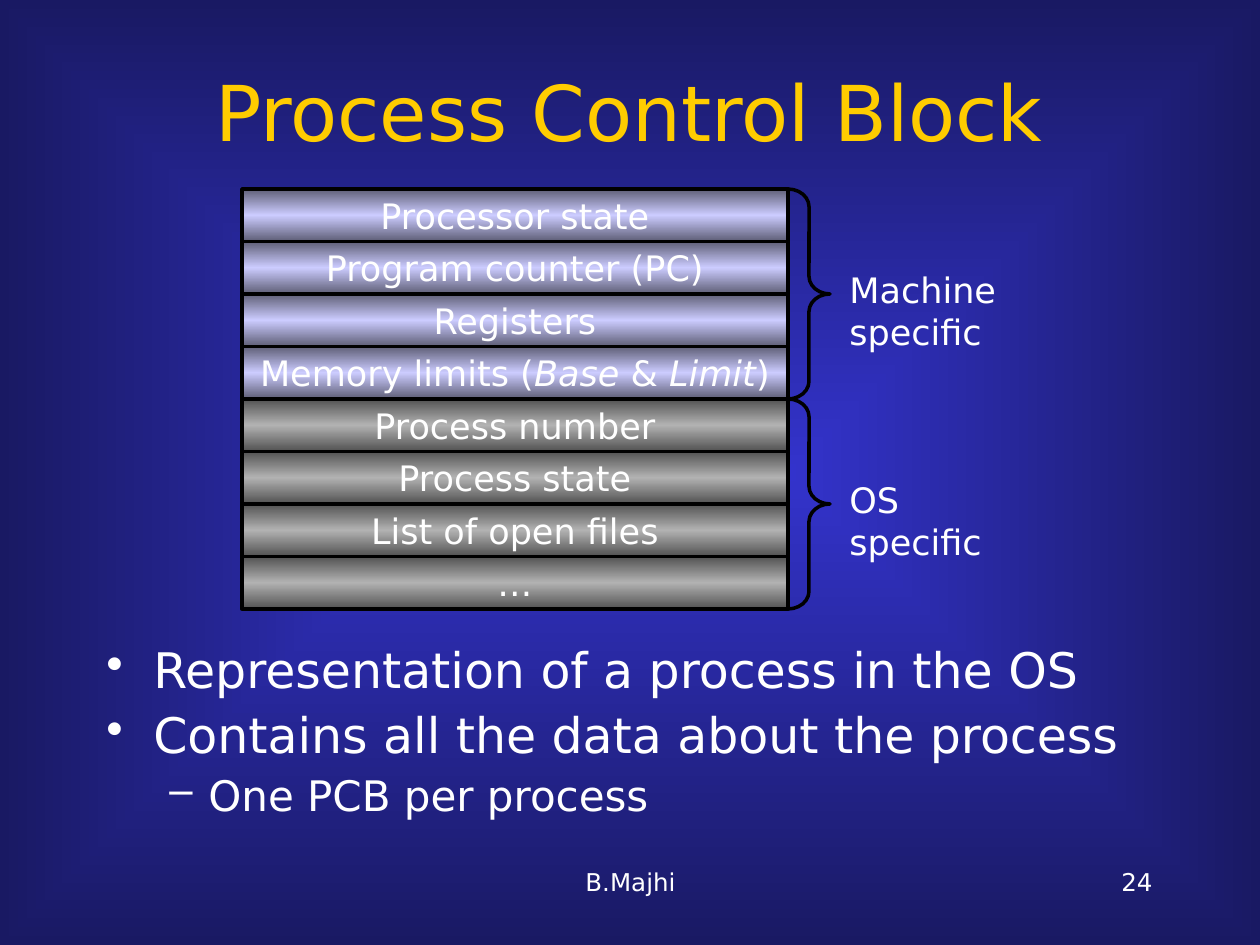
from lxml import etree
from pptx import Presentation
from pptx.dml.color import RGBColor
from pptx.enum.shapes import MSO_SHAPE
from pptx.enum.text import MSO_ANCHOR, PP_ALIGN
from pptx.oxml.ns import qn
from pptx.util import Pt

PX = 914400 // 126
FONT = "DejaVu Sans"
LEFT, CENTER, RIGHT = PP_ALIGN.LEFT, PP_ALIGN.CENTER, PP_ALIGN.RIGHT
TOP, MIDDLE = MSO_ANCHOR.TOP, MSO_ANCHOR.MIDDLE
RECTANGLE, RIGHT_BRACE = MSO_SHAPE.RECTANGLE, MSO_SHAPE.RIGHT_BRACE
COLORS = {
    "center": "3333CC", "edge": "191963", "title": "FFCC00",
    "text": "FFFFFF", "line": "000000",
    "machine_dark": "5E5E76", "machine_light": "CCCCFF",
    "os_dark": "525252", "os_light": "B2B2B2",
}


def write_text(shape, text, size=20, color="text", align=LEFT, anchor=TOP,
               wrap=True, bullet=None, indent=(0, 0), before=0, spacing=None):
    """Add one paragraph to a shape; parts between asterisks are italic."""
    frame = shape.text_frame
    frame.word_wrap = wrap
    frame.vertical_anchor = anchor
    paragraph = frame.add_paragraph() if frame.text else frame.paragraphs[0]
    paragraph.alignment = align
    paragraph.line_spacing = spacing
    paragraph.space_before = Pt(before)
    for index, part in enumerate(text.split("*")):
        run = paragraph.add_run()
        run.text = part
        run.font.name = FONT
        run.font.size = Pt(size)
        run.font.italic = index % 2 == 1
        run.font.color.rgb = RGBColor.from_string(COLORS[color])
    if bullet:
        properties = paragraph._p.get_or_add_pPr()
        margin, hanging = indent
        properties.set("marL", str(margin * PX))
        properties.set("indent", str(-hanging * PX))
        etree.SubElement(properties, qn("a:buChar"), char=bullet)


def fill_gradient(owner, names, radial=False):
    """Replace the solid fill of an element with evenly spaced colours."""
    gradient = etree.Element(qn("a:gradFill"), rotWithShape="1")
    stops = etree.SubElement(gradient, qn("a:gsLst"))
    for index, name in enumerate(names):
        position = str(100000 * index // (len(names) - 1))
        stop = etree.SubElement(stops, qn("a:gs"), pos=position)
        etree.SubElement(stop, qn("a:srgbClr"), val=COLORS[name])
    if radial:
        direction = etree.SubElement(gradient, qn("a:path"), path="rect")
        etree.SubElement(direction, qn("a:fillToRect"),
                         l="50000", t="50000", r="50000", b="50000")
    else:
        etree.SubElement(gradient, qn("a:lin"), ang="5400000", scaled="0")
    owner.replace(owner.find(qn("a:solidFill")), gradient)


deck = Presentation()
deck.slide_width, deck.slide_height = 1260 * PX, 945 * PX
slide = deck.slides.add_slide(deck.slide_layouts[6])
shapes = slide.shapes

slide.background.fill.solid()
fill_gradient(slide.element.find(".//" + qn("p:bgPr")), ["center", "edge"], radial=True)

# Title, footer and side labels
for text, box, style in [
    ("Process Control Block", (94, 32, 1071, 157),
     dict(size=44, color="title", align=CENTER, anchor=MIDDLE)),
    ("B.Majhi", (431, 861, 399, 63), dict(size=14, align=CENTER)),
    ("24", (903, 861, 262, 63), dict(size=14, align=RIGHT)),
    ("Machine specific", (837, 262, 296, 96), {}),
    ("OS specific", (837, 472, 203, 96), {}),
]:
    label = shapes.add_textbox(*[value * PX for value in box])
    write_text(label, text, **style)

# Control block fields, grouped by who defines them
BLOCK_LEFT, BLOCK_TOP, BLOCK_WIDTH, GROUP_HEIGHT = 242, 189, 546, 210
groups = [
    ("machine", ["Processor state", "Program counter (PC)", "Registers",
                 "Memory limits (*Base* & *Limit*)"]),
    ("os", ["Process number", "Process state", "List of open files", "…"]),
]
for group_index, (group, fields) in enumerate(groups):
    group_top = (BLOCK_TOP + group_index * GROUP_HEIGHT) * PX
    row_height = GROUP_HEIGHT * PX // len(fields)
    outlined = []
    for row_index, field in enumerate(fields):
        row = shapes.add_shape(RECTANGLE, BLOCK_LEFT * PX, group_top + row_index * row_height,
                               BLOCK_WIDTH * PX, row_height)
        row.fill.solid()
        fill_gradient(row._element.spPr, [group + "_dark", group + "_light", group + "_dark"])
        write_text(row, field, align=CENTER, anchor=MIDDLE, wrap=False)
        outlined.append(row)
    brace = shapes.add_shape(RIGHT_BRACE, (BLOCK_LEFT + BLOCK_WIDTH) * PX, group_top,
                             42 * PX, GROUP_HEIGHT * PX)
    brace.adjustments[0] = 0.42
    brace.fill.background()
    outlined.append(brace)
    for shape in outlined:
        shape.shadow.inherit = False
        shape.line.color.rgb = RGBColor.from_string(COLORS["line"])
        shape.line.width = Pt(2)

# Bullet points
points = shapes.add_textbox(94 * PX, 640 * PX, 1071 * PX, 200 * PX)
main_point = dict(size=28, bullet="•", indent=(47, 47), before=7)
sub_point = dict(size=24, bullet="–", indent=(102, 39), before=6)
for text, style in [
    ("Representation of a process in the OS", main_point),
    ("Contains all the data about the process", main_point),
    ("One PCB per process", sub_point),
]:
    write_text(points, text, spacing=0.9, **style)

deck.save("out.pptx")
